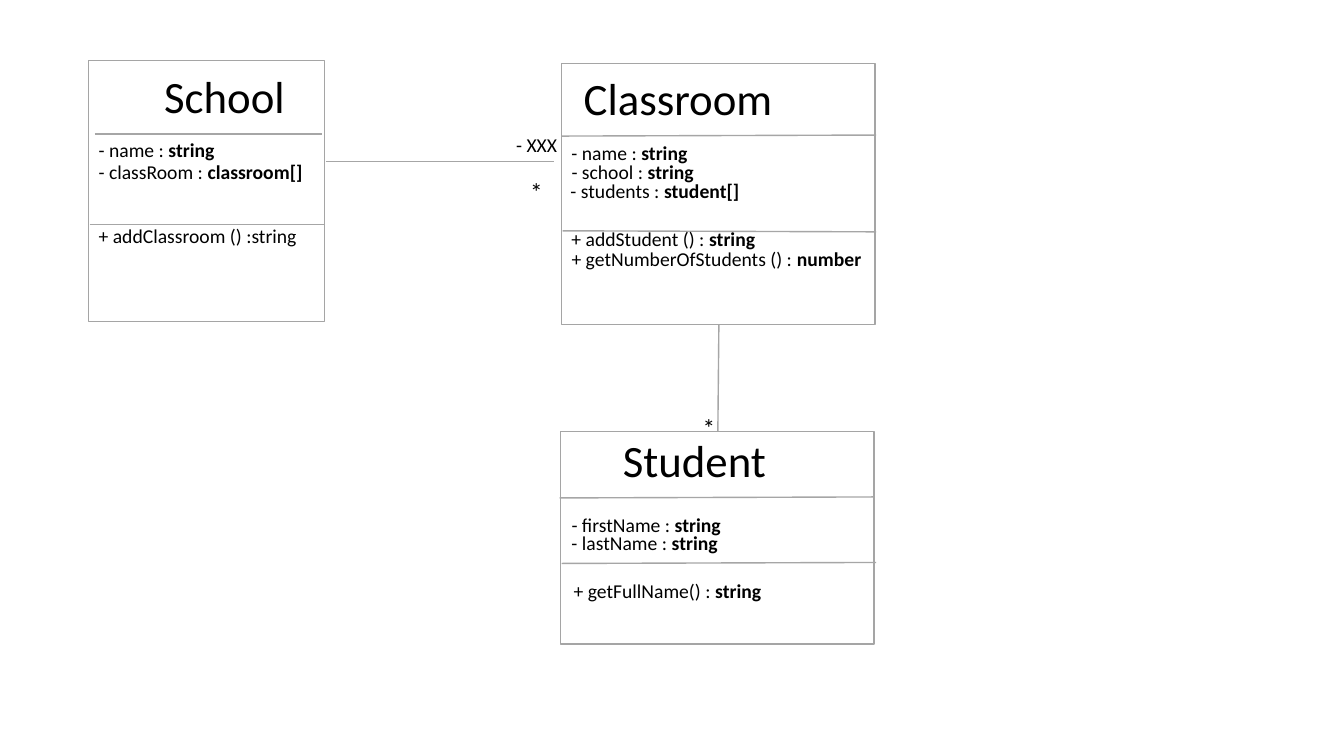
from pptx import Presentation
from pptx.dml.color import RGBColor
from pptx.enum.shapes import MSO_CONNECTOR, MSO_SHAPE
from pptx.enum.text import MSO_AUTO_SIZE
from pptx.oxml.ns import qn
from pptx.util import Inches, Pt
from lxml.etree import SubElement

# The slide is laid out on a grid of one-inch columns and rows
COLUMNS, ROWS = 13.33, 7.5
FONT = "Calibri"
TITLE_SIZE, MEMBER_SIZE, STAR_SIZE = 32, 14, 18
TEXT_HEIGHT = {TITLE_SIZE: 0.64, MEMBER_SIZE: 0.34, STAR_SIZE: 0.4}

# Title: left, top, width, text. Dividers: start and end points.
# Members: left, top, width, label, type. All places are relative to the box.
CLASSES = [
    {
        "box": (0.88, 0.6, 2.34, 2.59),
        "title": (0.65, 0.03, 1.41, "School"),
        "dividers": [(0.06, 0.73, 2.31, 0.73), (0.01, 1.63, 2.34, 1.63)],
        "members": [
            (0, 0.72, 1.36, "- name : ", "string"),
            (0, 0.94, 2.24, "- classRoom : ", "classroom[]"),
            (0, 1.57, 2.18, "+ addClassroom () :string", ""),
        ],
    },
    {
        "box": (5.57, 0.63, 3.11, 2.59),
        "title": (0.12, 0.02, 2.09, "Classroom"),
        "dividers": [(0, 0.72, 3.12, 0.71), (0.01, 1.66, 3.12, 1.67)],
        "members": [
            (0, 0.72, 1.36, "- name : ", "string"),
            (0, 0.91, 1.42, "- school : ", "string"),
            (-0.01, 1.1, 1.89, "- students : ", "student[]"),
            (0, 1.57, 2.04, "+ addStudent () : ", "string"),
            (0, 1.77, 3.12, "+ getNumberOfStudents () : ", "number"),
        ],
    },
    {
        "box": (5.56, 4.28, 3.11, 2.11),
        "title": (0.52, -0.04, 1.64, "Student"),
        "dividers": [(-0.01, 0.66, 3.11, 0.65), (0.01, 1.31, 3.13, 1.3)],
        "members": [
            (0.01, 0.76, 1.69, "- firstName : ", "string"),
            (0.01, 0.94, 1.66, "- lastName : ", "string"),
            (0.03, 1.41, 2.08, "+ getFullName() : ", "string"),
        ],
    },
]

ASSOCIATIONS = [(3.23, 1.6, 5.49, 1.6), (7.13, 3.22, 7.12, 4.28)]

# Left, top, width, text, size
ASSOCIATION_LABELS = [
    (5.02, 1.27, 0.61, "- XXX", MEMBER_SIZE),
    (5.16, 1.7, 0.33, "*", STAR_SIZE),
    (6.87, 4.04, 0.33, "*", STAR_SIZE),
]


def color(hex_string):
    return RGBColor.from_string(hex_string)


def add_text(slide, left, top, width, text, size, bold_text=""):
    shape = slide.shapes.add_textbox(
        Inches(left), Inches(top), Inches(width), Inches(TEXT_HEIGHT[size])
    )
    text_frame = shape.text_frame
    text_frame.word_wrap = False
    text_frame.auto_size = MSO_AUTO_SIZE.SHAPE_TO_FIT_TEXT
    text_frame.text = text
    paragraph = text_frame.paragraphs[0]
    if bold_text:
        bold_run = paragraph.add_run()
        bold_run.text = bold_text
        bold_run.font.bold = True
    for run in paragraph.runs:
        run.font.name = FONT
        run.font.size = Pt(size)
        run.font.color.rgb = color("000000")


def add_line(slide, *ends):
    connector = slide.shapes.add_connector(
        MSO_CONNECTOR.STRAIGHT, *[Inches(end) for end in ends]
    )
    connector.line.color.rgb = color("A6A6A6")
    connector.line.width = Pt(1)
    SubElement(connector._element.spPr, qn("a:effectLst"))


def add_box(slide, *place):
    shape = slide.shapes.add_shape(
        MSO_SHAPE.RECTANGLE, *[Inches(length) for length in place]
    )
    shape.shadow.inherit = False
    shape.fill.solid()
    shape.fill.fore_color.rgb = color("FFFFFF")
    shape.line.color.rgb = color("A5A5A5")
    shape.line.width = Pt(1)


def add_class(slide, box, title, dividers, members):
    left, top = box[:2]
    add_box(slide, *box)
    x, y, width, name = title
    add_text(slide, left + x, top + y, width, name, TITLE_SIZE)
    for x1, y1, x2, y2 in dividers:
        add_line(slide, left + x1, top + y1, left + x2, top + y2)
    for x, y, width, label, type_name in members:
        add_text(slide, left + x, top + y, width, label, MEMBER_SIZE, type_name)


def main():
    presentation = Presentation()
    presentation.slide_width = Inches(COLUMNS)
    presentation.slide_height = Inches(ROWS)
    slide = presentation.slides.add_slide(presentation.slide_layouts[6])

    # Class boxes
    for class_parts in CLASSES:
        add_class(slide, **class_parts)

    # Associations and their labels
    for ends in ASSOCIATIONS:
        add_line(slide, *ends)
    for label in ASSOCIATION_LABELS:
        add_text(slide, *label)

    presentation.save("out.pptx")


if __name__ == "__main__":
    main()
